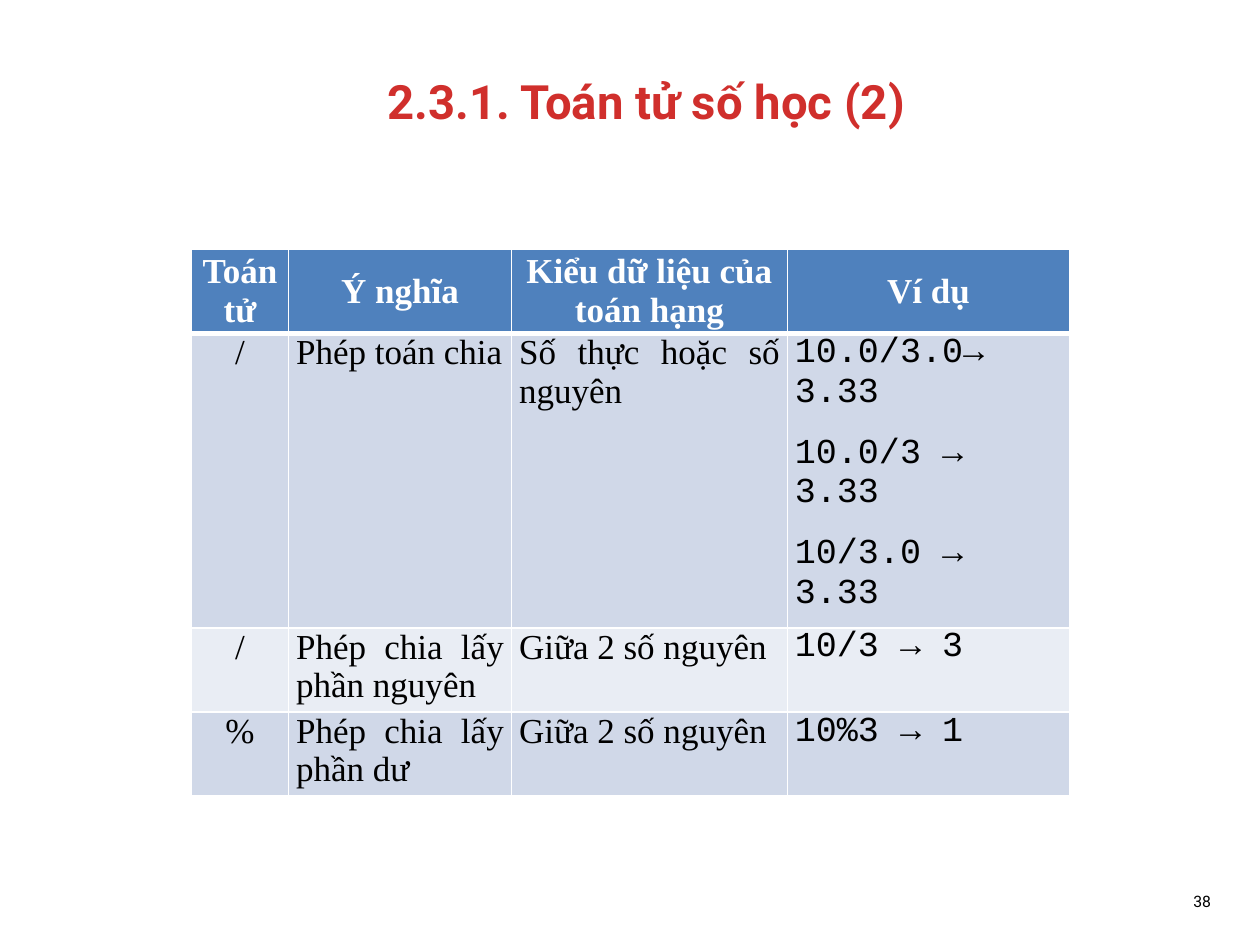
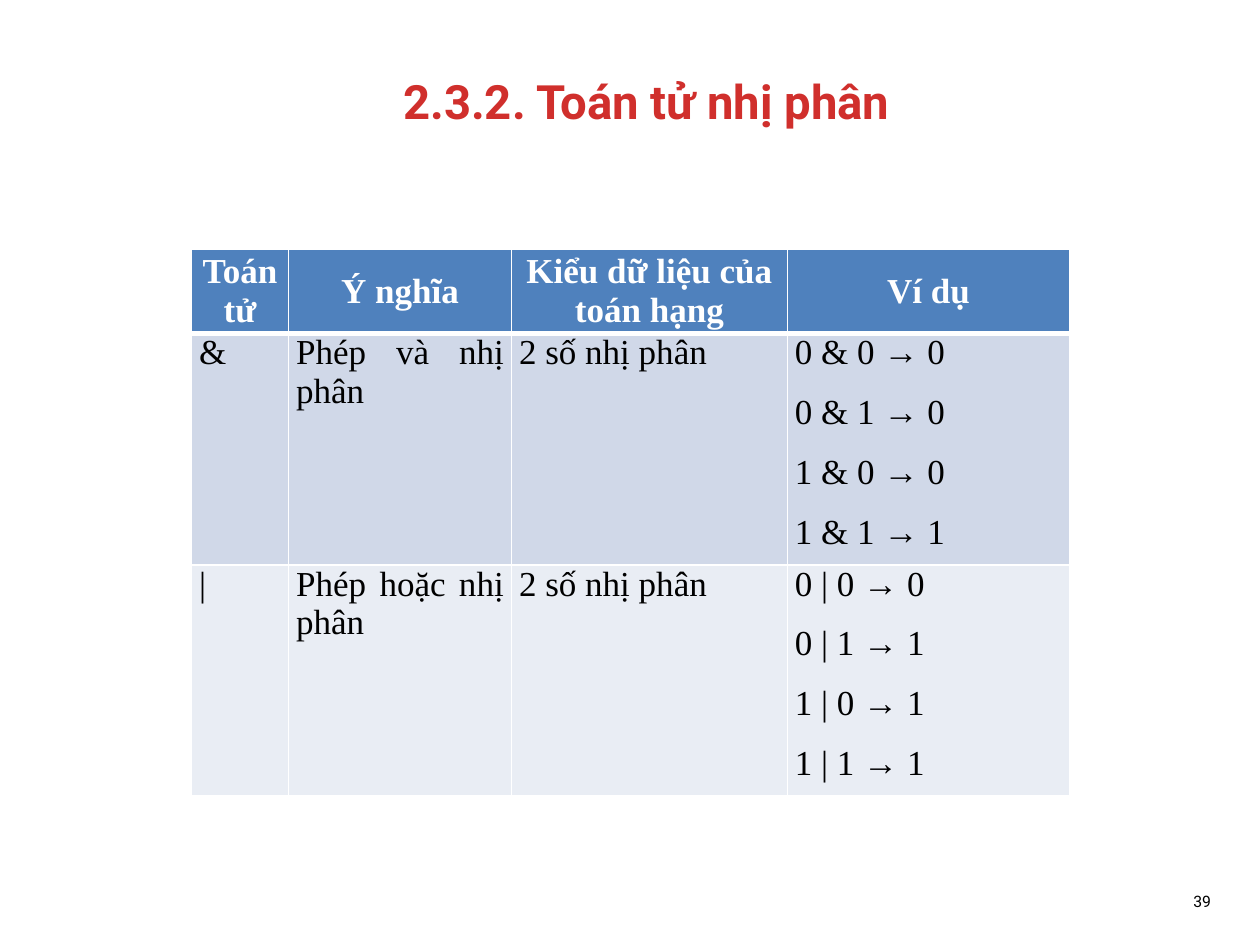
from lxml import etree
from pptx import Presentation
from pptx.dml.color import RGBColor
from pptx.enum.text import MSO_ANCHOR, MSO_AUTO_SIZE, PP_ALIGN
from pptx.oxml.ns import qn
from pptx.util import Pt

PX = 9144
CENTER, LEFT, RIGHT, JUSTIFY = PP_ALIGN.CENTER, PP_ALIGN.LEFT, PP_ALIGN.RIGHT, PP_ALIGN.JUSTIFY
MIDDLE, TOP = MSO_ANCHOR.MIDDLE, MSO_ANCHOR.TOP
NO_FIT = MSO_AUTO_SIZE.NONE
TITLE_ONLY = 5

COLORS = {
    "title": "D02F2C",
    "header": "4F81BD",
    "odd": "D0D8E8",
    "even": "E9EDF4",
    "text": "000000",
    "white": "FFFFFF",
}
SERIF, CODE, SANS = "Times New Roman", "Courier New", "Roboto"
TITLE_FONT = {"name": SANS, "size": Pt(27), "bold": True}
HEADER_FONT = {"name": SERIF, "size": Pt(20), "bold": True}
CELL_FONT = {"name": SERIF, "size": Pt(20), "bold": False}
CODE_FONT = {**CELL_FONT, "name": CODE}
NUMBER_FONT = {"name": SANS, "size": Pt(9), "bold": False}

HEADINGS = ["Toán tử", "Ý nghĩa", "Kiểu dữ liệu của toán hạng", "Ví dụ"]
COLUMN_WIDTHS = [77, 177, 219, 224]
HEADER_HEIGHT = 65

ARITHMETIC = [
    ["/", "Phép toán chia", "Số thực hoặc số nguyên",
     "10.0/3.0→ 3.33\n10.0/3 → 3.33\n10/3.0 → 3.33"],
    ["/", "Phép chia lấy phần nguyên", "Giữa 2 số nguyên", "10/3 → 3"],
    ["%", "Phép chia lấy phần dư", "Giữa 2 số nguyên", "10%3 → 1"],
]
BINARY = [
    ["&", "Phép và nhị phân", "2 số nhị phân",
     "0 & 0 → 0\n0 & 1 → 0\n1 & 0 → 0\n1 & 1 → 1"],
    ["|", "Phép hoặc nhị phân", "2 số nhị phân",
     "0 | 0 → 0\n0 | 1 → 1\n1 | 0 → 1\n1 | 1 → 1"],
]


def assign(target, values):
    for name, value in values.items():
        setattr(target, name, value)


class Deck:
    def __init__(self):
        self.prs = Presentation()
        assign(self.prs, {"slide_width": 1000 * PX, "slide_height": 750 * PX})
        self.slide = None

    def fill_text(self, frame, text, font, color, align, gap=0):
        frame.text = text
        for index, paragraph in enumerate(frame.paragraphs):
            assign(paragraph, {"alignment": align, "space_after": Pt(gap),
                               "space_before": Pt(gap if index else 0)})
            for run in paragraph.runs:
                assign(run.font, font)
                run.font.color.rgb = RGBColor.from_string(COLORS[color])

    def start(self, title, number):
        self.slide = self.prs.slides.add_slide(self.prs.slide_layouts[TITLE_ONLY])
        heading = self.slide.shapes.title
        assign(heading, {"left": 42 * PX, "top": 17 * PX,
                         "width": 942 * PX, "height": 125 * PX})
        assign(heading.text_frame, {"vertical_anchor": MIDDLE, "auto_size": NO_FIT})
        self.fill_text(heading.text_frame, title, TITLE_FONT, "title", CENTER)
        self.page_number(number)

    def page_number(self, number):
        box = self.slide.shapes.add_textbox(913 * PX, 695 * PX, 58 * PX, 40 * PX)
        assign(box.text_frame, {"vertical_anchor": MIDDLE, "word_wrap": True})
        self.fill_text(box.text_frame, str(number), NUMBER_FONT, "text", RIGHT)

    def borders(self, cell, row):
        widths = {"L": 1, "R": 1, "T": 3 if row == 1 else 1, "B": 1 if row else 3}
        properties = cell._tc.get_or_add_tcPr()
        for side, width in widths.items():
            line = etree.SubElement(properties, qn(f"a:ln{side}"), w=str(Pt(width)))
            fill = etree.SubElement(line, qn("a:solidFill"))
            etree.SubElement(fill, qn("a:srgbClr"), val=COLORS["white"])

    def cell(self, cell, row, text, font, color, align):
        assign(cell, {"margin_left": 6 * PX, "margin_right": 6 * PX,
                      "margin_top": 0, "margin_bottom": 0,
                      "vertical_anchor": TOP if row else MIDDLE})
        self.borders(cell, row)
        band = "header" if row == 0 else "odd" if row % 2 else "even"
        cell.fill.solid()
        cell.fill.fore_color.rgb = RGBColor.from_string(COLORS[band])
        self.fill_text(cell.text_frame, text, font, color, align, gap=6)

    def operators(self, operators, heights, symbol_align, example_align, example_font):
        heights = [HEADER_HEIGHT] + heights
        table = self.slide.shapes.add_table(
            len(heights), len(HEADINGS), 152 * PX, 198 * PX,
            sum(COLUMN_WIDTHS) * PX, sum(heights) * PX).table
        for column, width in zip(table.columns, COLUMN_WIDTHS):
            column.width = width * PX
        for row, height in zip(table.rows, heights):
            row.height = height * PX
        aligns = [symbol_align, JUSTIFY, JUSTIFY, example_align]
        fonts = [CELL_FONT] * 3 + [example_font]
        for column, heading in enumerate(HEADINGS):
            self.cell(table.cell(0, column), 0, heading, HEADER_FONT, "white", CENTER)
        for row, texts in enumerate(operators, 1):
            for column, text in enumerate(texts):
                self.cell(table.cell(row, column), row, text,
                          fonts[column], "text", aligns[column])


def main():
    deck = Deck()
    deck.start("2.3.1. Toán tử số học (2)", 38)
    deck.operators(ARITHMETIC, [220, 65, 65], CENTER, LEFT, CODE_FONT)
    deck.start("2.3.2. Toán tử nhị phân", 39)
    deck.operators(BINARY, [168, 168], JUSTIFY, JUSTIFY, CELL_FONT)
    deck.prs.save("out.pptx")


if __name__ == "__main__":
    main()
